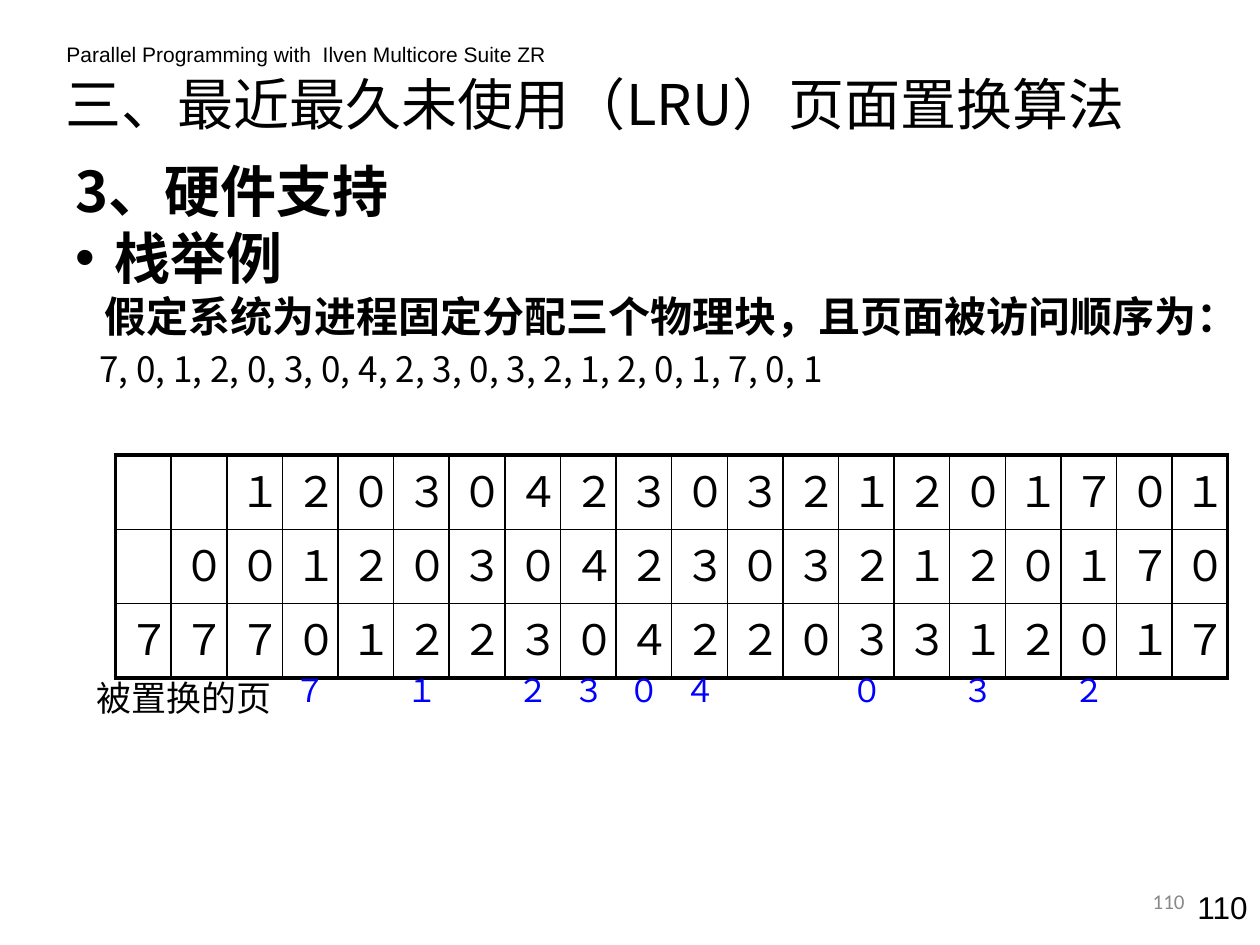
"""Build the slide on the LRU page replacement stack."""
import pptx
import pptx.util
import pptx.dml.color
import pptx.enum.text
import pptx.oxml.ns
import lxml.etree

Cm, Pt = pptx.util.Cm, pptx.util.Pt
Align, Anchor = pptx.enum.text.PP_ALIGN, pptx.enum.text.MSO_ANCHOR
qn = pptx.oxml.ns.qn
SANS = "Noto Sans CJK SC"


def paint(target, tone):
    """Give a fill one solid colour."""
    target.solid()
    target.fore_color.rgb = pptx.dml.color.RGBColor.from_string(tone)


def write(para, text, size, face, tone="000000", bold=False):
    """Add one run to a paragraph."""
    run = para.add_run()
    run.text = text
    run.font.size, run.font.name, run.font.bold = Pt(size), face, bold
    paint(run.font.fill, tone)
    east = lxml.etree.SubElement(run.font._element, qn("a:ea"))
    east.set("typeface", face)


deck = pptx.Presentation()
deck.slide_width, deck.slide_height = Cm(25.4), Cm(19.05)
slide = deck.slides.add_slide(deck.slide_layouts[1])
shapes = slide.shapes

title = shapes.title
title.left, title.top, title.width, title.height = Cm(1.07), Cm(1.12), Cm(22.66), Cm(1.9)
frame = title.text_frame
frame.auto_size = pptx.enum.text.MSO_AUTO_SIZE.NONE
frame.vertical_anchor = Anchor.MIDDLE
frame.paragraphs[0].alignment = Align.LEFT
write(frame.paragraphs[0], "三、最近最久未使用（LRU）页面置换算法", 32, SANS)

pages = [7, 0, 1, 2, 0, 3, 0, 4, 2, 3, 0, 3, 2, 1, 2, 0, 1, 7, 0, 1]
lines = [
    ("3、硬件支持", 32, True, 0.79, -0.79, None, 0),
    ("栈举例", 32, True, 0.79, -0.79, "•", 0),
    ("假定系统为进程固定分配三个物理块，且页面被访问顺序为：", 24, True, 0.58, 0, None, 0),
    (", ".join(map(str, pages)), 20, False, 0.48, 0, None, 3.5),
]
body = slide.placeholders[1]
body.left, body.top, body.width, body.height = Cm(1.27), Cm(3.02), Cm(23.24), Cm(6.35)
frame = body.text_frame
frame.auto_size = pptx.enum.text.MSO_AUTO_SIZE.NONE
for row, (text, size, bold, left, first, mark, gap) in enumerate(lines):
    para = frame.add_paragraph() if row else frame.paragraphs[0]
    props = para._p.get_or_add_pPr()
    props.set("marL", str(Cm(left)))
    props.set("indent", str(Cm(first)))
    dot = lxml.etree.SubElement(props, qn("a:buChar" if mark else "a:buNone"))
    if mark:
        dot.set("char", mark)
    para.line_spacing, para.space_before = 1.0, Pt(gap)
    write(para, text, size, SANS, bold=bold)

digits = "０１２３４５６７"
depth, count = 3, len(pages)
left, top, wide, high = 2.33, 9.17, 22.43 / count, 1.5
table = shapes.add_table(depth, count, Cm(left), Cm(top), Cm(wide * count), Cm(high * depth)).table
table.first_row = table.horz_banding = False
for col in table.columns:
    col.width = Cm(wide)
for row in table.rows:
    row.height = Cm(high)

notes = [
    ("Parallel Programming with  Ilven Multicore Suite ZR", 1.09, 0.71, 10.41, 0.76, 12, "Arial", "000000", Align.LEFT, Anchor.TOP),
    ("被置换的页", 1.7, 13.51, 4.04, 1.09, 20, "Arial", "000000", Align.LEFT, Anchor.TOP),
    ("110", 23.11, 17.78, 2.29, 1.27, 18, "Arial", "000000", Align.RIGHT, Anchor.TOP),
    ("110", 18.21, 17.65, 5.92, 1.02, 12, "Calibri", "898989", Align.RIGHT, Anchor.MIDDLE),
]
stack = []
for col, page in enumerate(pages):
    stack = [page] + [old for old in stack if old != page]
    if len(stack) > depth:
        text = digits[stack.pop()]
        notes.append((text, left + wide * col, 13.41, wide, 1.27, 18, "Arial", "0000FF", Align.LEFT, Anchor.TOP))
    shown = [None] * (depth - len(stack)) + stack
    for row, value in enumerate(shown):
        cell = table.cell(row, col)
        cell.vertical_anchor = Anchor.MIDDLE
        if value is not None:
            write(cell.text_frame.paragraphs[0], digits[value], 24, "Cabin")
        props = cell._tc.get_or_add_tcPr()
        edges = {"L": col == 0, "R": col == count - 1, "T": row == 0, "B": row == depth - 1}
        for side, outer in edges.items():
            edge = lxml.etree.SubElement(props, qn("a:ln" + side), w=str(Pt(2.25 if outer else 1)))
            fill = lxml.etree.SubElement(edge, qn("a:solidFill"))
            lxml.etree.SubElement(fill, qn("a:srgbClr"), val="000000")
        cell.fill.background()

for text, x, y, w, h, size, face, tone, align, anchor in notes:
    frame = shapes.add_textbox(Cm(x), Cm(y), Cm(w), Cm(h)).text_frame
    frame.word_wrap = True
    frame.vertical_anchor = anchor
    frame.paragraphs[0].alignment = align
    write(frame.paragraphs[0], text, size, face, tone)

deck.save("out.pptx")
